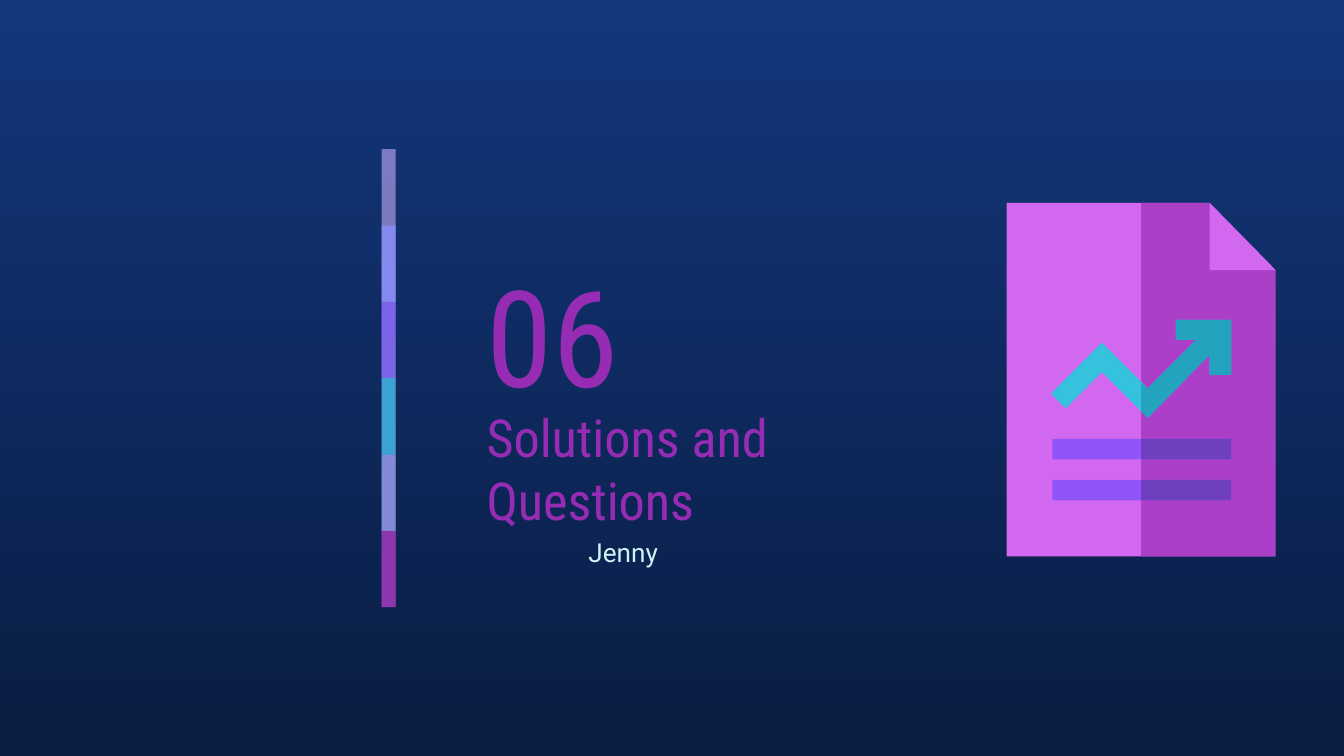
from lxml import etree
from pptx import Presentation
from pptx import util as u
from pptx.dml.color import RGBColor
from pptx.enum import shapes, text
from pptx.oxml.ns import qn

COLORS = {
    "sky": "13367C", "night": "0A1D42", "plum": "972CB4", "ice": "CEF3F5",
    "lilac": "C8AEF8", "periwinkle": "878FFF", "violet": "9154F8",
    "cyan": "35C2DF", "orchid": "CA7BEB", "page": "D268EF",
    "page_shade": "AB3FC8", "cyan_shade": "24A3BE", "violet_shade": "6E3FBE",
}
COLUMNS = 100


def rgb(name):
    return RGBColor.from_string(COLORS[name])


class Deck:
    def __init__(self):
        self.prs = Presentation()
        self.prs.slide_width, self.prs.slide_height = u.Inches(10), u.Pt(405)
        self.cell = self.prs.slide_width / COLUMNS
        self.s = self.prs.slides.add_slide(self.prs.slide_layouts[5])

    def grid(self, *cells):
        return [u.Emu(round(c * self.cell)) for c in cells]

    def background(self, *names):
        fill = self.s.background.fill
        fill.gradient()
        fill.gradient_angle = 270
        for stop, name in zip(fill.gradient_stops, names):
            stop.color.rgb = rgb(name)

    def paint(self, sp, color, alpha=None):
        sp.shadow.inherit = False
        sp.fill.solid()
        sp.fill.fore_color.rgb = rgb(color)
        sp.line.fill.background()
        if alpha:
            clr = sp._element.spPr.find(qn("a:solidFill"))[0]
            etree.SubElement(clr, qn("a:alpha"), val=str(alpha * 1000))

    def rect(self, box, color, alpha=None):
        sp = self.s.shapes.add_shape(shapes.MSO_SHAPE.RECTANGLE, *self.grid(*box))
        self.paint(sp, color, alpha)

    def polygon(self, points, color):
        start, *rest = [self.grid(*pt) for pt in points]
        builder = self.s.shapes.build_freeform(*start)
        builder.add_line_segments(rest, close=True)
        self.paint(builder.convert_to_shape(), color)

    def label(self, words, box, font, size, color, anchor="MIDDLE", after=0, title=False):
        left, top, width, height = self.grid(*box)
        sp = self.s.shapes.title if title else self.s.shapes.add_textbox(left, top, width, height)
        tf = sp.text_frame
        p = tf.paragraphs[0]
        r = p.add_run()
        r.text = words
        inset = u.Inches(0.1)
        formats = (
            (sp, dict(left=left, top=top, width=width, height=height)),
            (tf, dict(word_wrap=True, auto_size=text.MSO_AUTO_SIZE.NONE,
                      vertical_anchor=text.MSO_ANCHOR[anchor],
                      margin_left=inset, margin_right=inset,
                      margin_top=inset, margin_bottom=inset)),
            (p, dict(alignment=text.PP_ALIGN.LEFT, space_after=u.Pt(after))),
            (r.font, dict(name=font, size=u.Pt(size))),
        )
        for obj, values in formats:
            for key, value in values.items():
                setattr(obj, key, value)
        r.font.color.rgb = rgb(color)


def color_bar(deck):
    bands = [("lilac", 59), ("periwinkle", 74), ("violet", 53),
             ("cyan", 76), ("orchid", 56), ("plum", 74)]
    top, step = 11.1, 5.68
    for i, (color, alpha) in enumerate(bands):
        height = step * min(2, len(bands) - i)
        deck.rect((28.4, top + i * step, 1.04, height), color, alpha)


def report_icon(deck):
    left, middle, fold, right = 74.9, 84.9, 90, 94.9
    top, crease, bottom = 15.1, 20.1, 41.4
    for start, color in ((left, "page"), (middle, "page_shade")):
        deck.polygon([(start, top), (start, bottom), (right, bottom),
                      (right, crease), (fold, top)], color)
    deck.polygon([(fold, top), (fold, crease), (right, crease)], "page")

    head = [(90, 26.4), (90, 27.9), (91.6, 27.9), (91.6, 23.8),
            (87.5, 23.8), (87.5, 25.3), (89, 25.3), (85.4, 28.9)]
    tail = [(82, 25.5), (78.2, 29.3), (79.3, 30.4), (82, 27.7)]
    cut = [(middle, 28.5), (middle, 30.6)]
    tip = [(85.4, 31.1)]
    deck.polygon(head + tail + tip, "cyan")
    deck.polygon(head + cut + tip, "cyan_shade")

    line_end = 91.6
    for start, color in ((78.3, "violet"), (middle, "violet_shade")):
        for row in (32.65, 35.7):
            deck.rect((start, row, line_end - start, 1.53), color)


def main():
    deck = Deck()
    deck.background("sky", "night")
    color_bar(deck)
    deck.label("06", (35.2, 18.1, 17.5, 13.5), "Roboto Condensed", 72, "plum")
    deck.label("Solutions and Questions", (35.2, 31.5, 28.7, 6.7),
               "Roboto Condensed", 28, "plum", title=True)
    report_icon(deck)
    deck.label("Jenny", (42.8, 38.9, 25.3, 6.9), "Roboto", 14, "ice",
               anchor="TOP", after=16)
    deck.prs.save("out.pptx")


if __name__ == "__main__":
    main()
